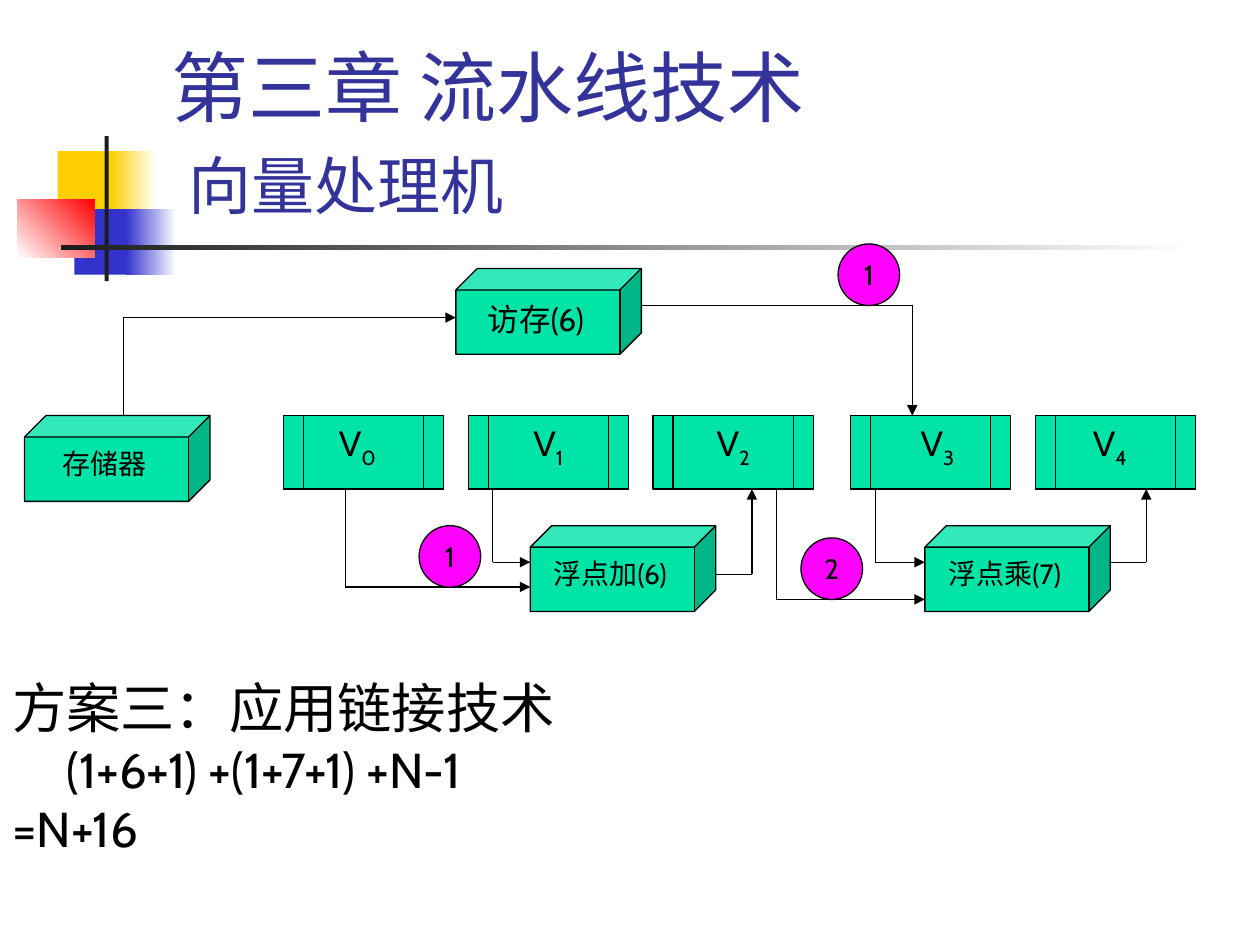
"""Build the vector processor chaining slide of the pipelining chapter."""
from itertools import pairwise

from lxml.etree import SubElement
from pptx import Presentation
from pptx.dml.color import RGBColor
from pptx.enum.shapes import MSO_CONNECTOR as CONN, MSO_SHAPE as SHAPE
from pptx.enum.text import MSO_ANCHOR as ANCHOR, PP_ALIGN as ALIGN
from pptx.oxml.ns import qn
from pptx.util import Pt

BLACK = RGBColor(0x00, 0x00, 0x00)
WHITE = RGBColor(0xFF, 0xFF, 0xFF)
INK = RGBColor(0x1C, 0x1C, 0x1C)
YELLOW = RGBColor(0xFF, 0xCF, 0x01)
BLUE = RGBColor(0x33, 0x33, 0xCC)
RED = RGBColor(0xFF, 0x00, 0x00)
NAVY = RGBColor(0x33, 0x33, 0x99)
GREEN = RGBColor(0x00, 0xE4, 0xA8)
MAGENTA = RGBColor(0xFF, 0x00, 0xFF)
LATIN, CJK = "Cabin", "Noto Sans CJK SC"
LINE_W = 0.75
REG_TOP, REG_BOTTOM = 237.5, 279.5


class Board:
    def __init__(self, slide):
        self.shapes = slide.shapes

    def shape(self, kind, x, y, w, h, fill, outlined=True):
        sp = self.shapes.add_shape(kind, Pt(x), Pt(y), Pt(w), Pt(h))
        sp.shadow.inherit = False
        sp.fill.solid()
        sp.fill.fore_color.rgb = fill
        if outlined:
            sp.line.color.rgb = BLACK
            sp.line.width = Pt(LINE_W)
        else:
            sp.line.fill.background()
        return sp

    def block(self, x, y, w, h, color, end=None, angle=0):
        sp = self.shape(SHAPE.RECTANGLE, x, y, w, h, color, outlined=False)
        if end is not None:
            sp.fill.gradient()
            sp.fill.gradient_angle = angle
            for stop, rgb in zip(sp.fill.gradient_stops, (color, end)):
                stop.color.rgb = rgb

    def run(self, p, text, size, color=BLACK, font=LATIN, base=None):
        r = p.add_run()
        r.text = text
        r.font.size = Pt(size)
        r.font.color.rgb = color
        r.font.name = font
        rPr = r.font._element
        SubElement(rPr, qn("a:ea")).set("typeface", CJK)
        if base:
            rPr.set("baseline", str(base))

    def box(self, x, y, w, h, anchor=ANCHOR.TOP):
        tf = self.shapes.add_textbox(Pt(x), Pt(y), Pt(w), Pt(h)).text_frame
        tf.word_wrap = True
        tf.vertical_anchor = anchor
        return tf

    def label(self, x, y, w, h, text, size, sub=None):
        p = self.box(x, y, w, h).paragraphs[0]
        p.alignment = ALIGN.CENTER
        self.run(p, text, size)
        if sub:
            self.run(p, sub, size, base=-25000)

    def unit(self, x, y, text, size=16):
        self.shape(SHAPE.CUBE, x, y, 106, 49, GREEN)
        self.label(x, y + 14.2, 91.5, 27, text, size)

    def register(self, x, number, label_x, label_w):
        self.shape(SHAPE.FLOWCHART_PREDEFINED_PROCESS, x, REG_TOP, 91.5,
                   REG_BOTTOM - REG_TOP, GREEN)
        self.label(label_x, REG_TOP, label_w, 34.5, "V", 20, number)

    def route(self, *points):
        for a, b in pairwise(points):
            line = self.shapes.add_connector(CONN.STRAIGHT, *map(Pt, a + b))
            line.line.color.rgb = BLACK
            line.line.width = Pt(LINE_W)
            SubElement(line._element.spPr, qn("a:effectLst"))
        SubElement(line.line._get_or_add_ln(), qn("a:tailEnd")).set("type", "triangle")

    def badge(self, x, y, text):
        tf = self.shape(SHAPE.OVAL, x, y, 35.2, 35.2, MAGENTA).text_frame
        tf.word_wrap = False
        tf.vertical_anchor = ANCHOR.MIDDLE
        p = tf.paragraphs[0]
        p.alignment = ALIGN.CENTER
        self.run(p, text, 16)

    def title(self, main, sub):
        p = self.box(90.7, 16.6, 613.4, 115.2, ANCHOR.BOTTOM).paragraphs[0]
        self.run(p, main, 44, NAVY, CJK)
        p.add_line_break()
        self.run(p, " ", 44, NAVY, CJK)
        self.run(p, sub, 36, NAVY, CJK)

    def notes(self, rows):
        tf = self.box(0, 388.8, 720, 122.4)
        for i, (text, size, indent) in enumerate(rows):
            p = tf.add_paragraph() if i else tf.paragraphs[0]
            p.line_spacing = 0.8
            p.space_before = Pt(7 if i else 0)
            p._p.get_or_add_pPr().set("marL", str(Pt(indent)))
            self.run(p, text, size)


def main():
    prs = Presentation()
    prs.slide_width, prs.slide_height = Pt(720), Pt(540)
    s = Board(prs.slides.add_slide(prs.slide_layouts[6]))

    s.block(33, 86.4, 34.6, 37.4, YELLOW)
    s.block(63.4, 86.4, 25.9, 37.4, YELLOW, WHITE)
    s.block(42.5, 119.5, 33.1, 37.4, BLUE)
    s.block(72, 119.5, 28.8, 37.4, BLUE, WHITE)
    s.block(10, 113.8, 44, 33.1, WHITE, RED, 45)
    s.block(59.8, 77.8, 2.3, 82.8, INK)
    s.block(34.6, 140.2, 648, 2.4, INK, WHITE)
    s.title("第三章 流水线技术", "向量处理机")

    s.unit(14, REG_TOP, "存储器")
    s.unit(260.5, 153.4, "访存(6)", 18)
    s.unit(303, 300.4, "浮点加(6)")
    s.unit(528.5, 300.4, "浮点乘(7)")
    registers = [(162, 169, 70.5), (267.7, 281.5, 63.5), (373.2, 380, 78),
                 (486, 500.4, 70.5), (591.6, 599, 70.5)]
    for number, (x, label_x, label_w) in enumerate(registers):
        s.register(x, str(number), label_x, label_w)

    s.route((70.5, REG_TOP), (70.5, 181.5), (260.5, 181.5))
    s.route((281.5, REG_BOTTOM), (281.5, 321.3), (303, 321.3))
    s.route((197.3, REG_BOTTOM), (197.3, 335.4), (303, 335.4))
    s.route((408.5, 328.3), (429.7, 328.3), (429.7, REG_BOTTOM))
    s.route((443.7, REG_BOTTOM), (443.7, 342.5), (528.5, 342.5))
    s.route((500.2, REG_BOTTOM), (500.2, 321.3), (528.5, 321.3))
    s.route((366.5, 174.4), (521.3, 174.4), (521.3, REG_TOP))
    s.route((634, 321.3), (655, 321.3), (655, REG_BOTTOM))

    s.badge(478.9, 139.4, "1")
    s.badge(239.5, 300.4, "1")
    s.badge(457.7, 307.4, "2")

    s.notes([("方案三：应用链接技术", 31, 0),
             ("(1+6+1) +(1+7+1) +N-1", 28, 31),
             ("=N+16", 28, 0)])
    prs.save("out.pptx")


if __name__ == "__main__":
    main()
